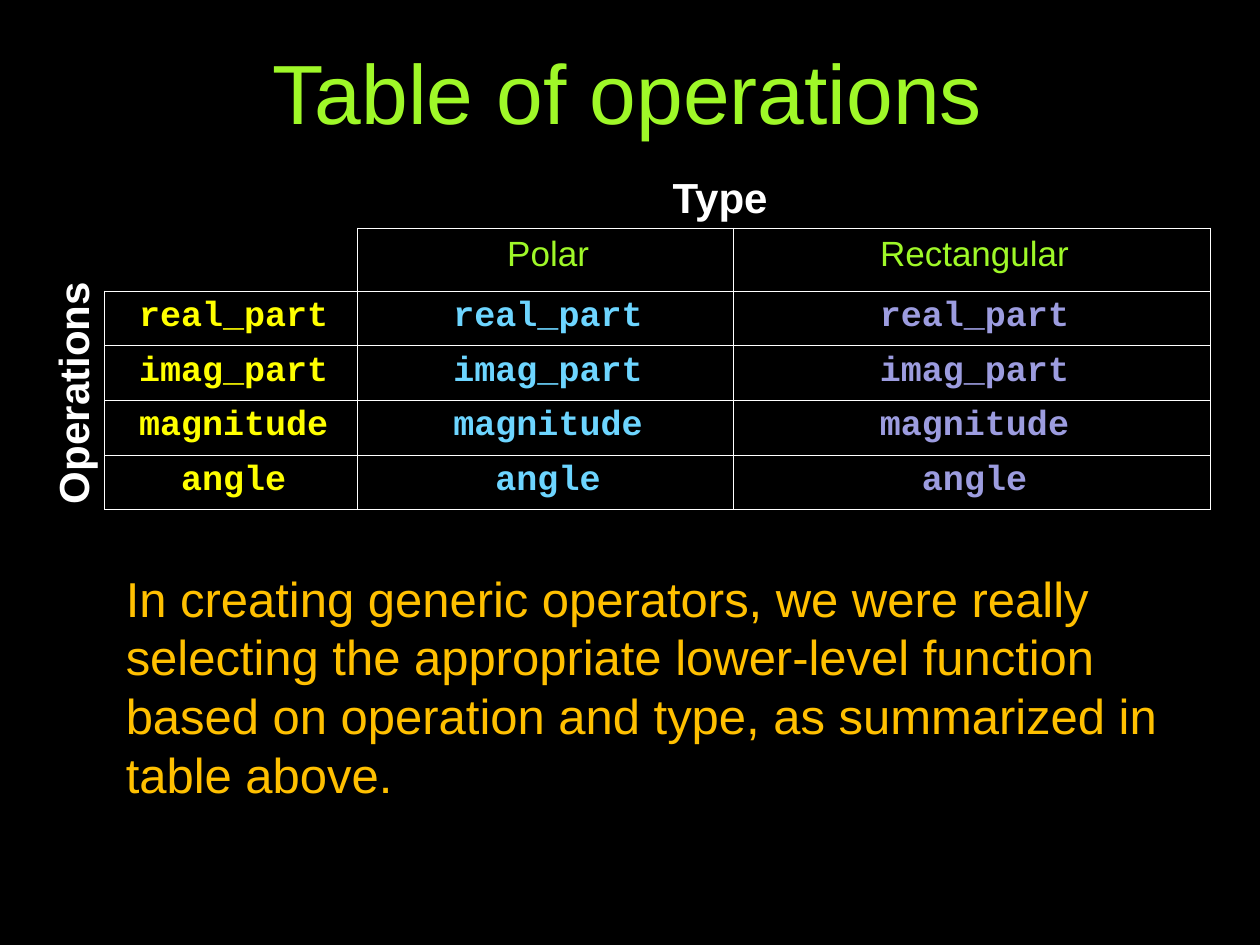
from lxml.etree import SubElement
from pptx import Presentation
from pptx.dml.color import RGBColor
from pptx.enum.text import MSO_ANCHOR, PP_ALIGN
from pptx.oxml.ns import qn
from pptx.util import Inches, Pt

COLORS = {
    "black": "000000", "white": "FFFFFF", "green": "9FF828", "amber": "FFC000",
    "yellow": "FFFF00", "blue": "6DD5FF", "violet": "9C9CDF",
}


def write(tf, text, size, color, align=PP_ALIGN.CENTER, font="Arial", bold=False):
    p = tf.paragraphs[0]
    p.alignment = align
    r = p.add_run()
    r.text = text
    r.font.size = Pt(size)
    r.font.name = font
    r.font.bold = bold
    r.font.color.rgb = RGBColor.from_string(COLORS[color])


def add_border(cell, side, visible):
    ln = SubElement(cell._tc.get_or_add_tcPr(), qn(f"a:ln{side}"), w=str(Pt(0.45)))
    if visible:
        fill = SubElement(ln, qn("a:solidFill"))
        SubElement(fill, qn("a:srgbClr"), val=COLORS["white"])
    else:
        SubElement(ln, qn("a:noFill"))


prs = Presentation()
prs.slide_width, prs.slide_height = Inches(10), Inches(7.5)
s = prs.slides.add_slide(prs.slide_layouts[6])
s.background.fill.solid()
s.background.fill.fore_color.rgb = RGBColor.from_string(COLORS["black"])

# Title
sp = s.shapes.add_textbox(Inches(0.5), Inches(0.07), Inches(9), Inches(1.31))
tf = sp.text_frame
tf.word_wrap = True
tf.vertical_anchor = MSO_ANCHOR.MIDDLE
tf.margin_left = tf.margin_top = tf.margin_bottom = Inches(0.06)
write(tf, "Table of operations", 48, "green")

# Explanation
sp = s.shapes.add_textbox(Inches(0.9), Inches(4.46), Inches(8.43), Inches(1.97))
sp.text_frame.word_wrap = True
write(sp.text_frame,
      "In creating generic operators, we were really selecting the appropriate "
      "lower-level function based on operation and type, as summarized in table above.",
      28, "amber", PP_ALIGN.LEFT)

# Operations by type
types = ["", "Polar", "Rectangular"]
operations = ["real_part", "imag_part", "magnitude", "angle"]
col_widths = [2.01, 2.98, 3.79]
row_heights = [0.5] + [0.43] * len(operations)
col_colors = ["yellow", "blue", "violet"]

table = s.shapes.add_table(
    len(row_heights), len(col_widths), Inches(0.83), Inches(1.81),
    Inches(sum(col_widths)), Inches(sum(row_heights))).table
table.first_row = table.horz_banding = False
for col, width in zip(table.columns, col_widths):
    col.width = Inches(width)
for row, height in zip(table.rows, row_heights):
    row.height = Inches(height)

for i in range(len(row_heights)):
    for j, color in enumerate(col_colors):
        cell = table.cell(i, j)
        is_corner = i == j == 0
        for side in "LRTB":
            add_border(cell, side, not is_corner or side in "RB")
        cell.fill.background()
        if is_corner:
            continue
        if i == 0:
            write(cell.text_frame, types[j], 20, "green")
        else:
            write(cell.text_frame, operations[i - 1], 20, color,
                  font="Courier New", bold=True)
        cell.text_frame.paragraphs[0]._p.get_or_add_pPr().set("marL", str(Inches(0.04)))

# Axis labels
for text, left, top, rotation in [("Type", 4.69, 1.31, 0),
                                  ("Operations", -0.45, 2.87, 270)]:
    sp = s.shapes.add_textbox(Inches(left), Inches(top), Inches(2.05), Inches(0.5))
    sp.rotation = rotation
    sp.text_frame.word_wrap = True
    write(sp.text_frame, text, 24, "white", bold=True)

prs.save("out.pptx")
